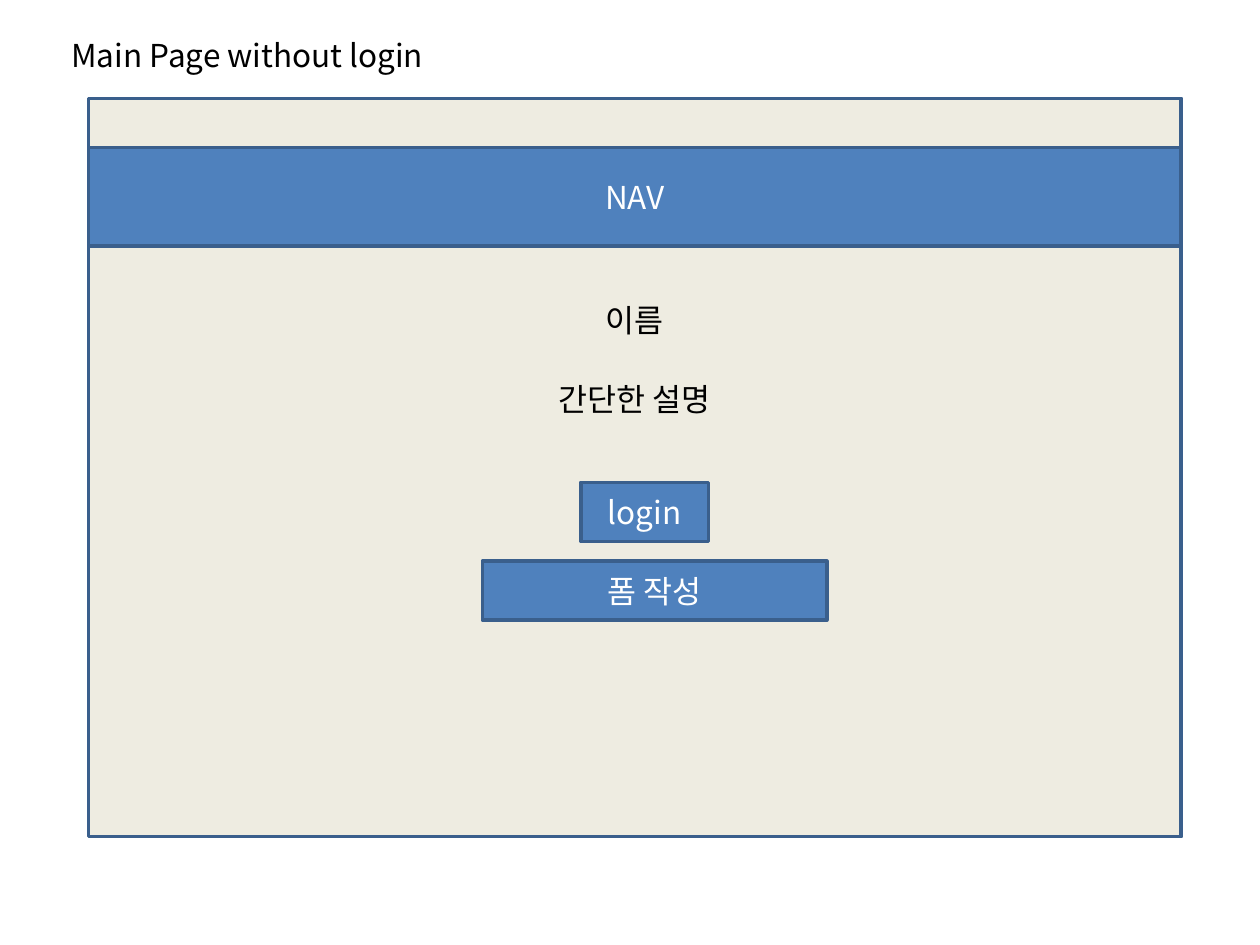
"""Build a wireframe slide of a main page before login."""
from pptx import Presentation, util as u
from pptx.dml.color import RGBColor
from pptx.enum import shapes, text
from pptx.oxml.ns import qn
from lxml import etree

WIDTH, HEIGHT = u.Inches(10), u.Inches(7.5)
GRID = WIDTH / 25.6
FONT = "Noto Sans CJK KR"
BLACK = RGBColor(0x00, 0x00, 0x00)
WHITE = RGBColor(0xFF, 0xFF, 0xFF)
CREAM = RGBColor(0xEE, 0xEC, 0xE1)
BLUE = RGBColor(0x4F, 0x81, 0xBD)
NAVY = RGBColor(0x3A, 0x5F, 0x8C)

FRAME_LEFT, FRAME_WIDTH = 1.8, 22.2
PANELS = [
    ("", (FRAME_LEFT, 2, FRAME_WIDTH, 15), CREAM),
    ("NAV", (FRAME_LEFT, 3, FRAME_WIDTH, 2), BLUE),
    ("login", (11.8, 9.8, 2.6, 1.2), BLUE),
    ("폼 작성", (9.8, 11.4, 7, 1.2), BLUE),
]
LABELS = [
    ("이름", (FRAME_LEFT, 6, FRAME_WIDTH, 1.03), {"align": text.PP_ALIGN.CENTER}),
    ("간단한 설명", (FRAME_LEFT, 7.6, FRAME_WIDTH, 1.82), {"align": text.PP_ALIGN.CENTER}),
    ("Main Page without login", (1.2, 0.6, 8, 1.03), {"wrap": False}),
]


def write(box, words, color=BLACK, align=text.PP_ALIGN.LEFT,
          anchor=text.MSO_ANCHOR.TOP, wrap=True):
    frame = box.text_frame
    frame.word_wrap = wrap
    frame.vertical_anchor = anchor
    para = frame.paragraphs[0]
    para.alignment = align
    span = para.add_run()
    span.text = words
    span.font.name = FONT
    span.font.size = u.Pt(18)
    span.font.color.rgb = color
    etree.SubElement(span.font._element, qn("a:ea"), typeface=FONT)


def place(cells):
    return [round(cell * GRID) for cell in cells]


deck = Presentation()
deck.slide_width, deck.slide_height = WIDTH, HEIGHT
page = deck.slides.add_slide(deck.slide_layouts[6])

for words, cells, fill in PANELS:
    panel = page.shapes.add_shape(shapes.MSO_SHAPE.RECTANGLE, *place(cells))
    panel.shadow.inherit = False
    panel.fill.solid()
    panel.fill.fore_color.rgb = fill
    panel.line.color.rgb = NAVY
    panel.line.width = u.Pt(2)
    if words:
        write(panel, words, color=WHITE, align=text.PP_ALIGN.CENTER,
              anchor=text.MSO_ANCHOR.MIDDLE)

for words, cells, style in LABELS:
    write(page.shapes.add_textbox(*place(cells)), words, **style)

deck.save("out.pptx")
